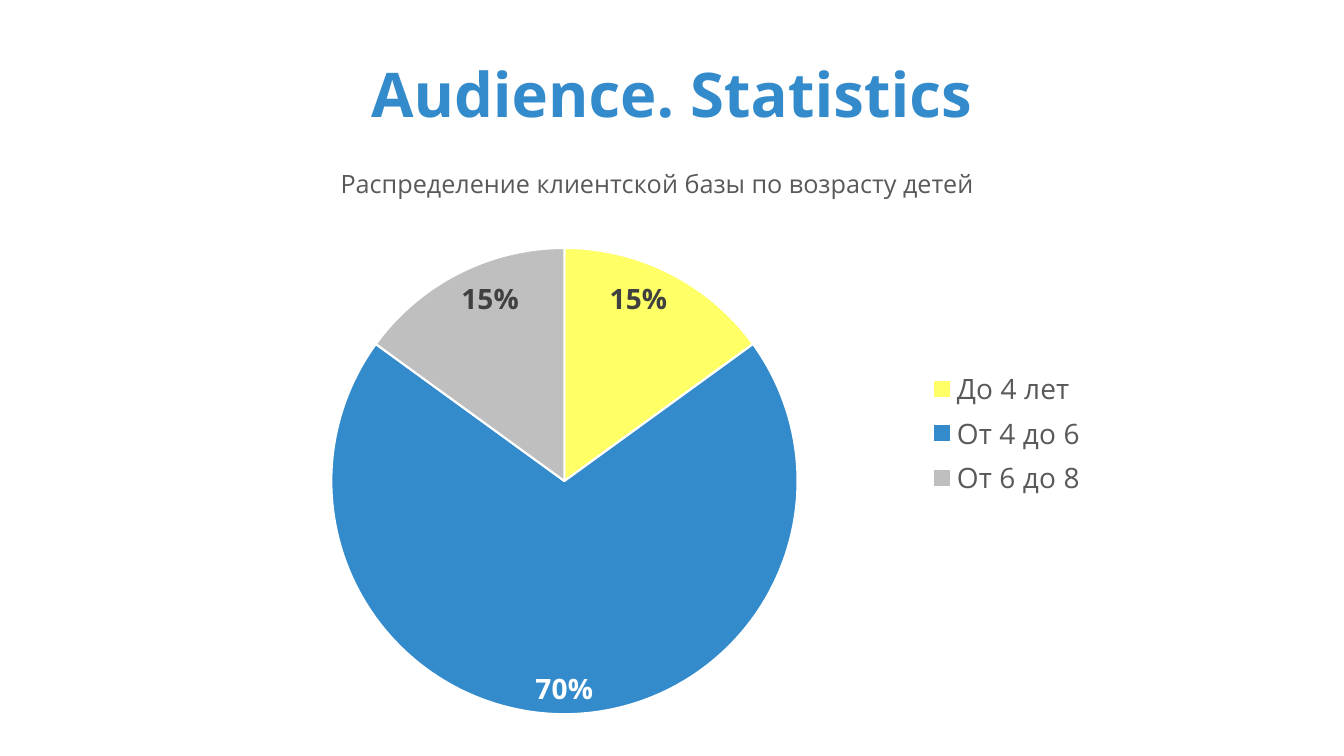
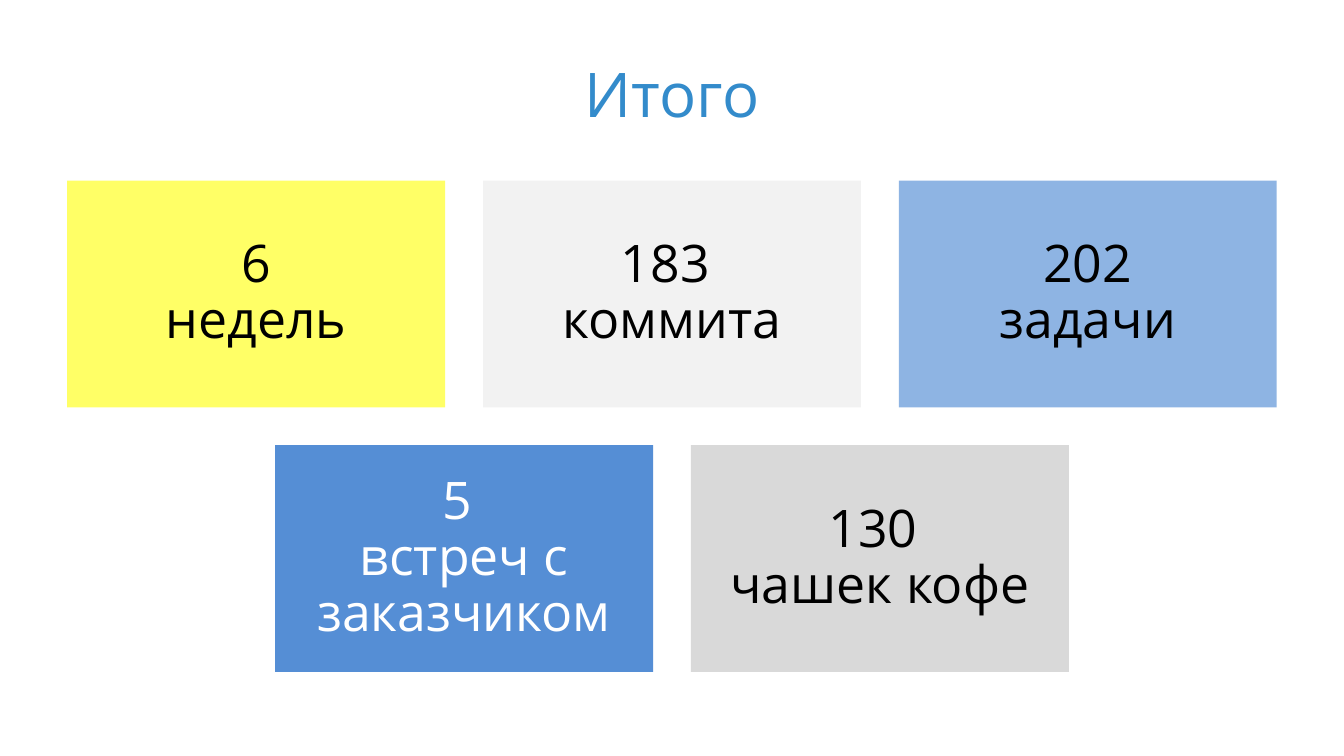
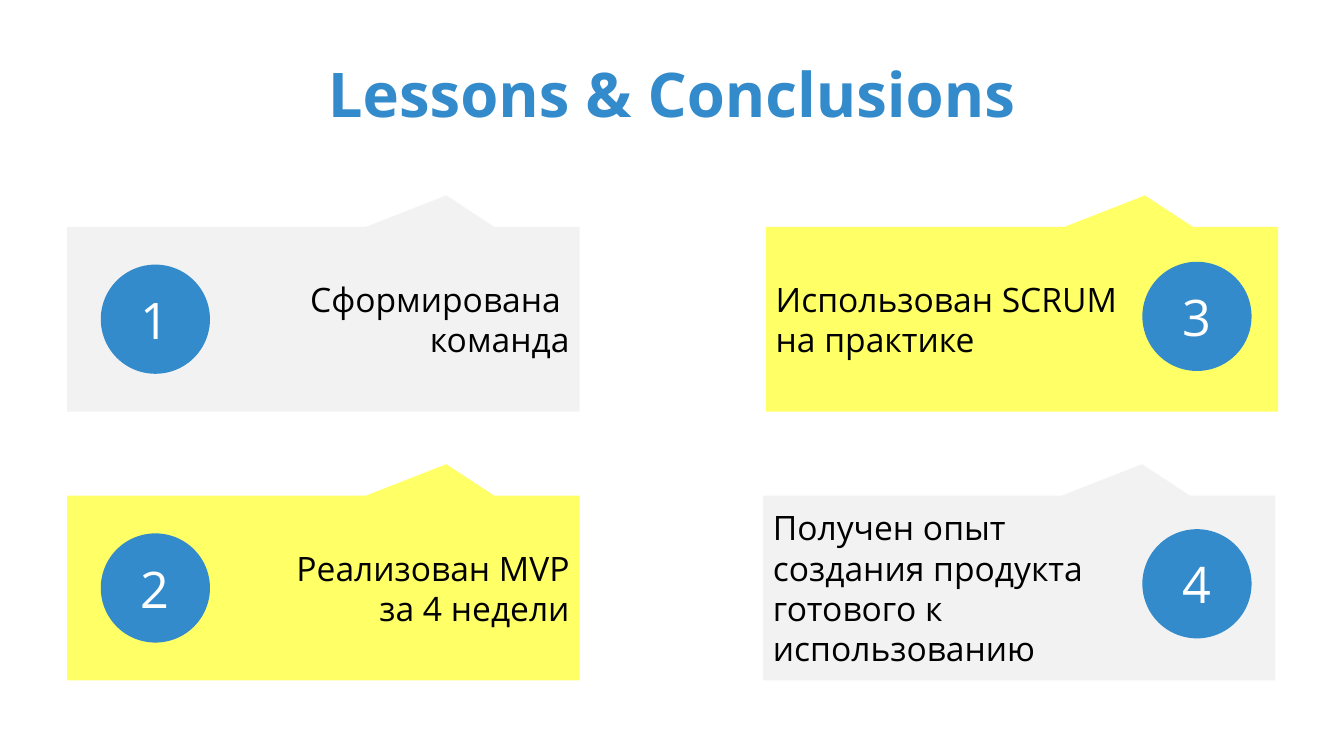
from dataclasses import dataclass

from lxml.etree import SubElement
from pptx import Presentation
from pptx.chart.data import CategoryChartData
from pptx.dml.color import RGBColor
from pptx.enum.chart import XL_CHART_TYPE, XL_LABEL_POSITION, XL_LEGEND_POSITION
from pptx.enum.shapes import MSO_SHAPE
from pptx.enum.text import MSO_ANCHOR, PP_ALIGN
from pptx.oxml import parse_xml
from pptx.oxml.ns import nsdecls, qn
from pptx.util import Pt


@dataclass(frozen=True)
class Theme:
    font: str = "Open Sans"
    blue: str = "338BCB"
    yellow: str = "FFFF66"
    pale: str = "F2F2F2"
    sky: str = "8EB4E3"
    azure: str = "558ED5"
    silver: str = "D9D9D9"
    gray: str = "BFBFBF"
    muted: str = "595959"
    dark: str = "404040"
    black: str = "000000"
    white: str = "FFFFFF"
    title_size: int = 44
    tile_size: int = 37
    number_size: int = 36
    callout_size: int = 24
    chart_size: int = 20
    caption_size: int = 18


THEME = Theme()
PAGE_WIDTH, PAGE_HEIGHT = 960, 540
MARGIN = 48


def style_font(font, size, color, bold=False):
    font.name = THEME.font
    font.size = Pt(size)
    font.bold = bold
    font.color.rgb = RGBColor.from_string(color)


def place(shape, left, top, width, height):
    shape.left, shape.top = Pt(left), Pt(top)
    shape.width, shape.height = Pt(width), Pt(height)


def create_deck():
    deck = Presentation()
    deck.slide_width, deck.slide_height = Pt(PAGE_WIDTH), Pt(PAGE_HEIGHT)
    layout = deck.slide_layouts.get_by_name("Title Only")
    place(layout.placeholders[0], MARGIN, 21.6, PAGE_WIDTH - 2 * MARGIN, 90)
    return deck, layout


def add_page(deck, layout, title, bold=True):
    page = deck.slides.add_slide(layout)
    frame = page.shapes.title.text_frame
    frame.text = title
    frame.vertical_anchor = MSO_ANCHOR.MIDDLE
    paragraph = frame.paragraphs[0]
    paragraph.alignment = PP_ALIGN.CENTER
    style_font(paragraph.runs[0].font, THEME.title_size, THEME.blue, bold)
    return page


def add_box(page, kind, bounds, fill, paragraphs, size, color=THEME.black,
            align=PP_ALIGN.CENTER, spacing=1.0):
    box = page.shapes.add_shape(kind, *map(Pt, bounds))
    box.shadow.inherit = False
    box.fill.solid()
    box.fill.fore_color.rgb = RGBColor.from_string(fill)
    box.line.fill.background()
    frame = box.text_frame
    frame.word_wrap = True
    frame.vertical_anchor = MSO_ANCHOR.MIDDLE
    for index, text in enumerate(paragraphs):
        paragraph = frame.add_paragraph() if index else frame.paragraphs[0]
        paragraph.text = text
        paragraph.alignment = align
        paragraph.line_spacing = spacing
        for span in paragraph.runs:
            style_font(span.font, size, color)
    return box


def set_chart_layout(parent, **values):
    layout = parent.find(qn("c:layout"))
    if layout is None:
        layout = parse_xml(f"<c:layout {nsdecls('c')}/>")
        parent.insert(0, layout)
    manual = SubElement(layout, qn("c:manualLayout"))
    for name, value in values.items():
        SubElement(manual, qn(f"c:{name}")).set("val", str(value))


def format_slices(series):
    slices = ((THEME.yellow, THEME.dark), (THEME.blue, THEME.white), (THEME.gray, THEME.dark))
    for index, (fill, label_color) in enumerate(slices):
        point = series.points[index]
        point.format.fill.solid()
        point.format.fill.fore_color.rgb = RGBColor.from_string(fill)
        point.format.line.color.rgb = RGBColor.from_string(THEME.white)
        point.format.line.width = Pt(1.5)
        label = point.data_label
        style_font(label.font, THEME.chart_size, label_color, True)
        label.position = XL_LABEL_POSITION.INSIDE_END
    for element in series.data_labels._element.findall(qn("c:dLbl")):
        element.find(qn("c:showVal")).set("val", "0")
        element.find(qn("c:showPercent")).set("val", "1")


def format_labels(labels):
    labels.show_percentage = True
    labels.show_value = False
    labels.number_format = "0%"
    labels.number_format_is_linked = False
    labels.position = XL_LABEL_POSITION.INSIDE_END
    style_font(labels.font, THEME.chart_size, THEME.dark, True)


def add_age_chart(page):
    data = CategoryChartData()
    data.categories = ["До 4 лет", "От 4 до 6", "От 6 до 8"]
    data.add_series("Series 1", (15, 70, 15))
    chart = page.shapes.add_chart(XL_CHART_TYPE.PIE, Pt(144), Pt(96), Pt(640), Pt(427), data).chart
    style_font(chart.font, 10, THEME.black)

    caption = chart.chart_title
    caption.text_frame.text = "Распределение клиентской базы по возрасту детей"
    style_font(caption.text_frame.paragraphs[0].runs[0].font, THEME.caption_size, THEME.muted)
    set_chart_layout(caption._element, xMode="edge", yMode="edge", x=0.15, y=0.04)

    chart.has_legend = True
    chart.legend.position = XL_LEGEND_POSITION.RIGHT
    chart.legend.include_in_layout = False
    style_font(chart.legend.font, THEME.chart_size, THEME.muted)

    plot = chart.plots[0]
    plot.vary_by_categories = True
    format_labels(plot.series[0].data_labels)
    format_slices(plot.series[0])
    set_chart_layout(chart._chartSpace.chart.plotArea, layoutTarget="inner", xMode="edge",
                     yMode="edge", x=0.14, y=0.19, w=0.53, h=0.78)


def add_tile_rows(page, rows):
    width, height, gap, top = 270, 162, 27, 129
    for row, tiles in enumerate(rows):
        row_width = len(tiles) * (width + gap) - gap
        left = (PAGE_WIDTH - row_width) / 2
        for column, (text, fill, color) in enumerate(tiles):
            bounds = (left + column * (width + gap), top + row * (height + gap), width, height)
            box = add_box(page, MSO_SHAPE.RECTANGLE, bounds, fill, [text],
                          THEME.tile_size, color, spacing=0.9)
            frame = box.text_frame
            frame.margin_left = frame.margin_right = Pt(10.8)
            frame.margin_top = frame.margin_bottom = Pt(10.8)


def add_lesson(page, number, corner, badge_corner, fill, align, lines):
    callout = add_box(page, MSO_SHAPE.RECTANGULAR_CALLOUT, (*corner, 366, 132), fill, lines,
                      THEME.callout_size, align=align)
    callout.adjustments[0] = 0.24
    callout.adjustments[1] = -0.67
    add_box(page, MSO_SHAPE.OVAL, (*badge_corner, 78, 78), THEME.blue, [str(number)],
            THEME.number_size, THEME.white)


def main():
    deck, layout = create_deck()

    add_age_chart(add_page(deck, layout, "Audience. Statistics"))

    add_tile_rows(add_page(deck, layout, "Итого", bold=False), (
        (("6\nнедель", THEME.yellow, THEME.black),
         ("183 \nкоммита", THEME.pale, THEME.black),
         ("202\nзадачи", THEME.sky, THEME.black)),
        (("5 \nвстреч с заказчиком", THEME.azure, THEME.white),
         ("130 \nчашек кофе", THEME.silver, THEME.black)),
    ))

    lessons_page = add_page(deck, layout, "Lessons & Conclusions")
    lessons = (
        ((MARGIN, 162), (72, 189), THEME.pale, PP_ALIGN.RIGHT,
         ("Сформирована ", "команда")),
        ((MARGIN, 354), (72, 381), THEME.yellow, PP_ALIGN.RIGHT,
         ("Реализован MVP", "за 4 недели")),
        ((547, 162), (816, 187), THEME.yellow, PP_ALIGN.LEFT,
         ("Использован SCRUM", "на практике")),
        ((545, 354), (816, 378), THEME.pale, PP_ALIGN.LEFT,
         ("Получен опыт", "создания продукта", "готового к", "использованию")),
    )
    for number, lesson in enumerate(lessons, 1):
        add_lesson(lessons_page, number, *lesson)

    deck.save("out.pptx")


if __name__ == "__main__":
    main()
